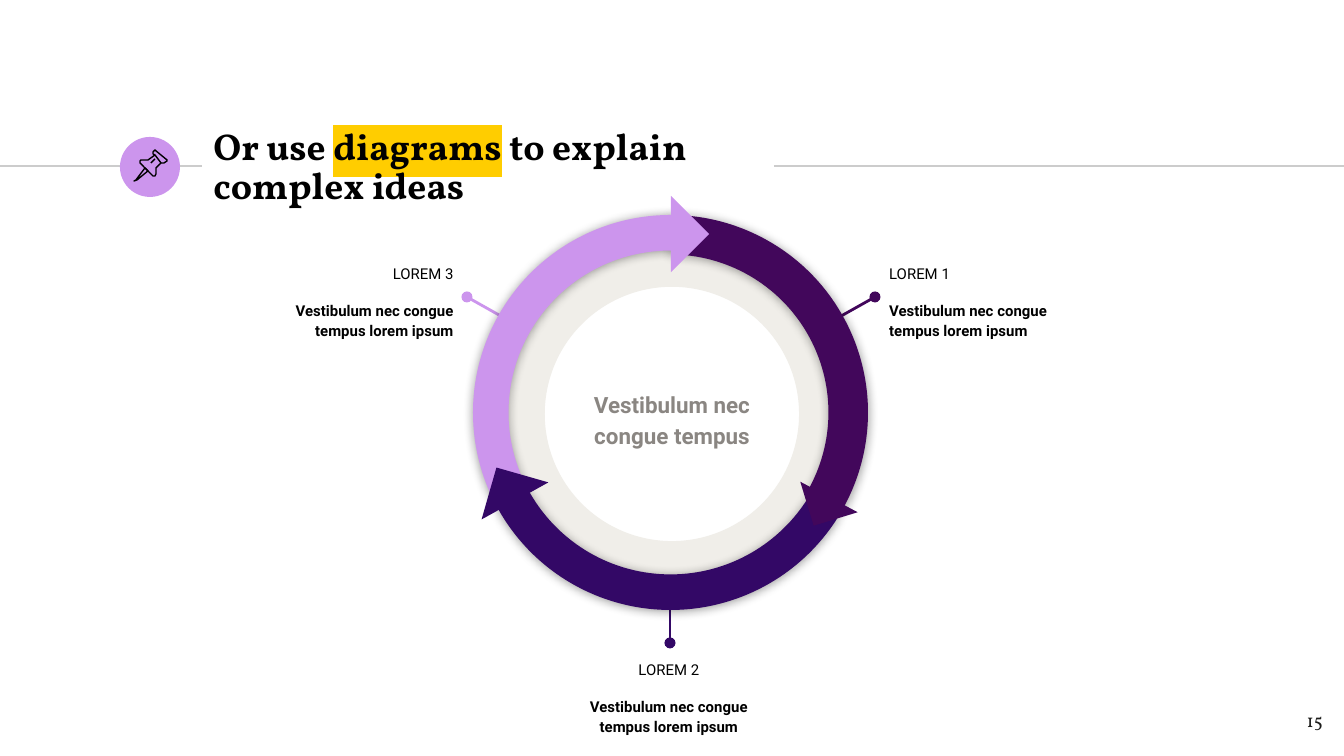
"""Build a slide with a three-step cycle diagram."""
from lxml import etree
from pptx import Presentation
from pptx import util as u
from pptx.dml.color import RGBColor
from pptx.enum import shapes, text
from pptx.oxml.ns import qn

PX = 914400 / 134.4
BLACK = RGBColor(0, 0, 0)
INK = RGBColor(0x1D, 0x1D, 0x1B)
GRAY = RGBColor(0x8A, 0x86, 0x82)
RULE = RGBColor(0xCC, 0xCC, 0xCC)
SAND = RGBColor(0xF0, 0xEE, 0xE9)
GOLD = RGBColor(0xFF, 0xCD, 0x00)
LILAC = RGBColor(0xCC, 0x95, 0xED)
PLUM = RGBColor(0x42, 0x07, 0x5B)
NAVY = RGBColor(0x33, 0x08, 0x66)
KIND = shapes.MSO_SHAPE
ALIGN = text.PP_ALIGN

deck = Presentation()
deck.slide_width, deck.slide_height = round(1344 * PX), round(756 * PX)
slide = deck.slides.add_slide(deck.slide_layouts[5])
items = slide.shapes


def draw(kind, box, fill, turn=0):
    item = items.add_shape(kind, *[round(v * PX) for v in box])
    item.shadow.inherit = False
    item.fill.solid()
    item.fill.fore_color.rgb = fill
    item.line.fill.background()
    item.rotation = turn
    return item


def write(box, lines, size, font, color, align):
    frame = items.add_textbox(*[round(v * PX) for v in box]).text_frame
    frame.word_wrap = True
    frame.margin_left = frame.margin_right = u.Inches(0.1)
    frame.margin_top = frame.margin_bottom = u.Inches(0.1)
    frame.text = "\n".join(lines)
    for para in frame.paragraphs:
        para.alignment = align
        for run in para.runs:
            run.font.size, run.font.name = u.Pt(size), font
            run.font.color.rgb = color
    return frame


title = items.title
title.left, title.top = round(200 * PX), round(136 * PX)
title.width, title.height = round(571 * PX), round(65 * PX)
frame = title.text_frame
frame.auto_size = text.MSO_AUTO_SIZE.NONE
frame.word_wrap = True
frame.vertical_anchor = text.MSO_ANCHOR.MIDDLE
frame.margin_left = frame.margin_right = u.Inches(0.1)
frame.margin_top = frame.margin_bottom = u.Inches(0.1)
para = frame.paragraphs[0]
para.alignment = ALIGN.LEFT
para.line_spacing = 0.87
for part in ("Or use ", "diagrams", " to explain complex ideas"):
    run = para.add_run()
    run.text = part
    run.font.size, run.font.name, run.font.bold = u.Pt(20), "Vollkorn", True
    run.font.color.rgb = BLACK
mark = etree.Element(qn("a:highlight"))
etree.SubElement(mark, qn("a:srgbClr"), val=str(GOLD))
para.runs[1].font._element.find(qn("a:solidFill")).addnext(mark)

wires = [
    (0, 166, 202, 166, RULE, 0.75, False),
    (774, 166, 1344, 166, RULE, 0.75, False),
    (467, 297, 531, 333, LILAC, 1.5, True),
    (875, 297, 811, 333, PLUM, 1.5, True),
    (670, 643, 670, 575, NAVY, 1.5, True),
]
for *ends, color, width, dot in wires:
    wire = items.add_connector(
        shapes.MSO_CONNECTOR.STRAIGHT, *[round(v * PX) for v in ends])
    wire.line.color.rgb = color
    wire.line.width = u.Pt(width)
    if dot:
        etree.SubElement(wire.line._get_or_add_ln(), qn("a:headEnd"), type="oval")
    etree.SubElement(wire._element.spPr, qn("a:effectLst"))

draw(KIND.OVAL, (120, 137, 60, 60), LILAC)
pin = [
    ([(145, 168), (136, 180), (134, 181), (137, 180), (148, 171)], True),
    ([(155, 155), (161, 163), (164, 163), (167, 161), (167, 160),
      (156, 151), (155, 150), (153, 152), (153, 154)], True),
    ([(155, 155), (148, 160), (145, 160), (141, 160), (140, 161), (140, 163),
      (153, 176), (155, 176), (156, 174), (156, 168), (161, 163)], False),
    ([(151, 163), (155, 159)], False),
]
for dots, shut in pin:
    path = items.build_freeform(*dots[0], scale=PX)
    path.add_line_segments(dots[1:], close=shut)
    piece = path.convert_to_shape()
    piece.shadow.inherit = False
    piece.fill.background()
    piece.line.color.rgb = BLACK
    piece.line.width = u.Pt(0.75)

ring = draw(KIND.DONUT, (485, 227, 374, 374), SAND)
ring.adjustments[0] = 0.16

labels = [
    (247, 249, "LOREM 3", ALIGN.RIGHT),
    (876, 249, "LOREM 1", ALIGN.LEFT),
    (559, 645, "LOREM 2", ALIGN.CENTER),
]
for left, top, name, align in labels:
    lines = [name, "Vestibulum nec congue tempus lorem ipsum"]
    frame = write((left, top, 220, 98), lines, 8, "Roboto", BLACK, align)
    for para in frame.paragraphs:
        para.line_spacing = 1.15
    para.space_before = u.Pt(8.5)
    para.runs[0].font.bold = True

frame = write((566, 359, 212, 118), ["Vestibulum nec congue tempus"],
              12, "Roboto", GRAY, ALIGN.CENTER)
frame.vertical_anchor = text.MSO_ANCHOR.MIDDLE
frame.paragraphs[0].line_spacing = 1.15
frame.paragraphs[0].runs[0].font.bold = True

arcs = [
    (PLUM, 30, False, (144.14, 0.01, 0.1)),
    (LILAC, 330, True, (143.49, 214.73, 0.09)),
    (NAVY, 210, True, (143.16, 215.03, 0.09)),
]
tips = {
    LILAC: ((644, 207, 54, 54), 225),
    NAVY: ((488, 474, 54, 54), 106),
    PLUM: ((806, 474, 46, 46), 343),
}
for color, turn, flip, bends in arcs:
    arc = draw(KIND.BLOCK_ARC, (473, 215, 395, 395), color, turn)
    for i, bend in enumerate(bends):
        arc.adjustments[i] = bend
    props = arc._element.spPr
    if flip:
        props.find(qn("a:xfrm")).set("flipH", "1")
    shade = etree.SubElement(
        props.find(qn("a:effectLst")), qn("a:outerShdw"),
        blurRad=str(u.Pt(5.6)), dist=str(u.Pt(0.8)), dir="5400000",
        algn="ctr", rotWithShape="0")
    tone = etree.SubElement(shade, qn("a:srgbClr"), val=str(BLACK))
    etree.SubElement(tone, qn("a:alpha"), val="40000")
    if color == LILAC:
        draw(KIND.RIGHT_TRIANGLE, tips[LILAC][0], LILAC, tips[LILAC][1])
for color in (PLUM, NAVY):
    draw(KIND.RIGHT_TRIANGLE, tips[color][0], color, tips[color][1])

write((1255, 698, 81, 58), ["15"], 10, "Vollkorn", INK, ALIGN.RIGHT)

deck.save("out.pptx")
